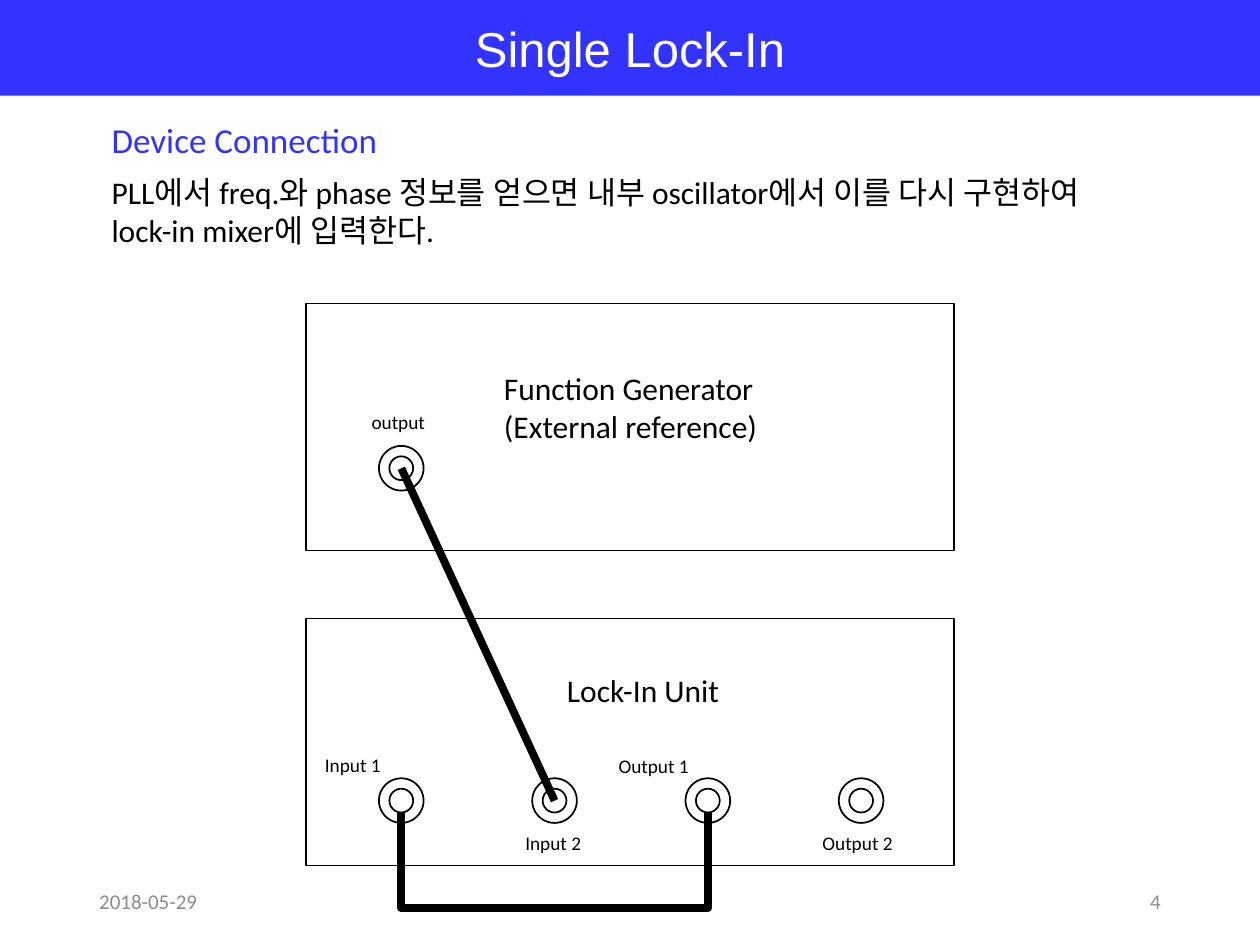
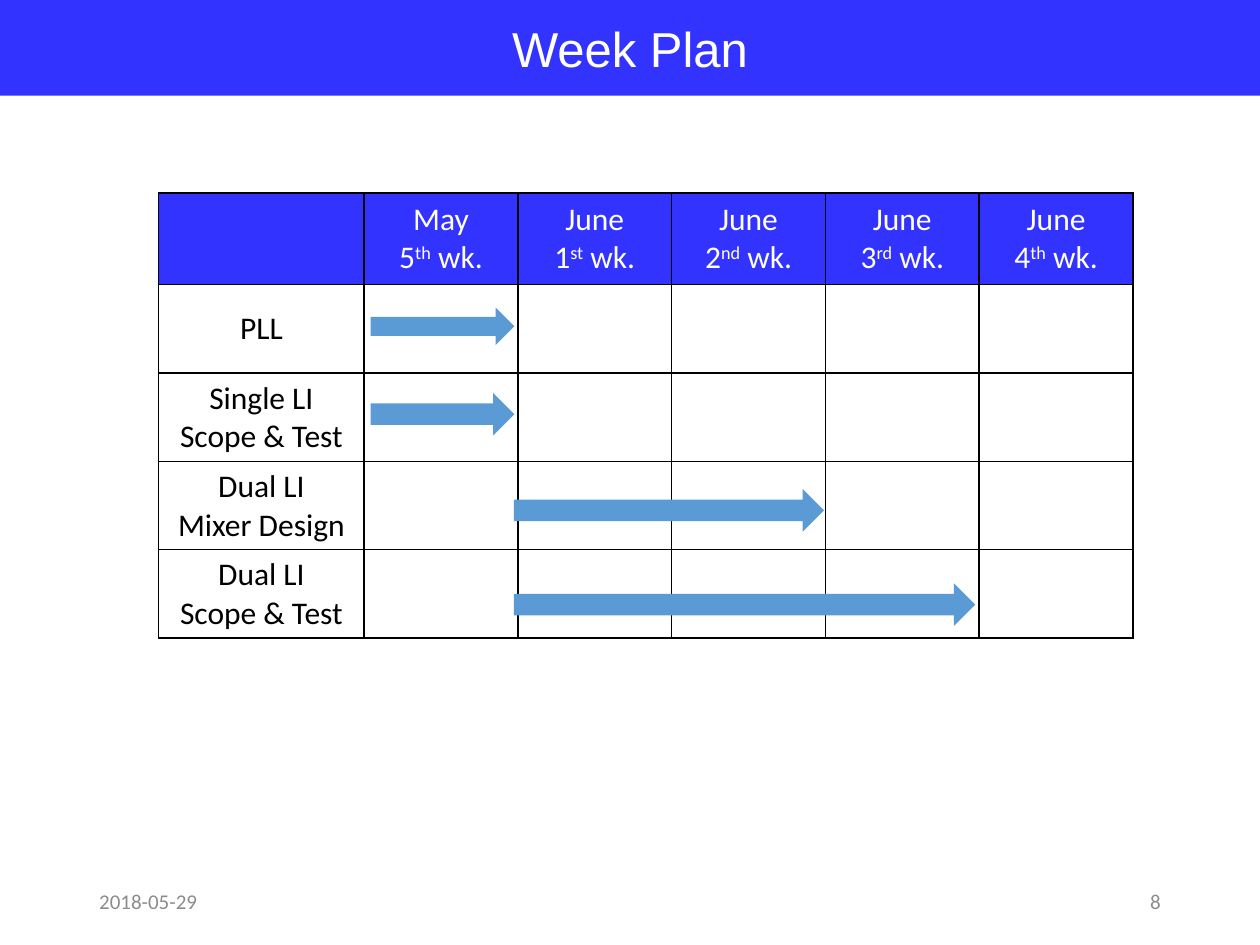
from lxml.etree import SubElement
from pptx import Presentation
from pptx.dml.color import RGBColor
from pptx.enum.shapes import MSO_CONNECTOR as Link, MSO_SHAPE as Preset
from pptx.enum.text import MSO_ANCHOR as Anchor, PP_ALIGN as Align
from pptx.oxml import parse_xml
from pptx.oxml.ns import nsdecls, qn
from pptx.util import Cm, Pt

BLUE = RGBColor(0x33, 0x33, 0xFF)
ARROW_BLUE = RGBColor(0x5B, 0x9B, 0xD5)
GRAY = RGBColor(0x8C, 0x8C, 0x8C)
BLACK = RGBColor(0, 0, 0)
WHITE = RGBColor(255, 255, 255)

PAGE_WIDTH, PAGE_HEIGHT = 25.4, 19.05
BAND_HEIGHT = 1.93
DATE = "2018-05-29"
FOOTER_LEFT, FOOTER_TOP, FOOTER_WIDTH, FOOTER_HEIGHT = 1.75, 17.65, 5.72, 1.02

HEADING = ("Device Connection", 2, 2.26, 7.92, 1.12)
SUMMARY = ("PLL에서 freq.와 phase 정보를 얻으면 내부 oscillator에서 이를 다시 "
           "구현하여 lock-in mixer에 입력한다.", 2, 3.36, 20.82, 1.8)
DEVICES = [
    ("Function Generator\n(External reference)", 9.91, 7.32, 5.61, 1.8),
    ("Lock-In Unit", 11.18, 13.41, 3.94, 1.02),
]
PORT_LABELS = [
    ("output", 7.24, 8.15, 1.68, 0.74),
    ("Input 1", 6.3, 15.06, 1.68, 0.74),
    ("Input 2", 10.34, 16.64, 1.68, 0.74),
    ("Output 1", 12.22, 15.09, 2.08, 0.74),
    ("Output 2", 16.33, 16.64, 2.08, 0.74),
]
PANEL_LEFT, PANEL_TOPS, PANEL_WIDTH, PANEL_HEIGHT = 6.17, (6.12, 12.47), 13.06, 4.98
PORT_LEFT, PORT_STEP, PORT_SIZES = 8.09, 3.09, (0.9, 0.48)
GENERATOR_PORT_Y, LOCKIN_PORT_Y, LOOP_Y = 9.44, 16.14, 18.31

WEEKS = ["", "May\n5^th^ wk.", "June\n1^st^ wk.", "June\n2^nd^ wk.",
         "June\n3^rd^ wk.", "June\n4^th^ wk."]
TASKS = ["PLL", "Single LI\nScope & Test", "Dual LI\nMixer Design", "Dual LI\nScope & Test"]
TASK_ARROWS = [
    (7.47, 6.2, 2.9, 0.76),
    (7.47, 7.92, 2.9, 0.86),
    (10.36, 9.86, 6.25, 0.86),
    (10.36, 11.76, 9.3, 0.86),
]
TABLE_LEFT, TABLE_TOP = 3.2, 3.89
COLUMN_WIDTHS = [4.14] + [3.1] * 5
ROW_HEIGHTS = [1.85] + [1.78] * 4


def write(frame, text, size=18, color=BLACK, font="Calibri", align=Align.LEFT):
    """Fill a text frame; newlines split paragraphs and ^marks^ raise text."""
    style = {"size": Pt(size), "name": font, "bold": False}
    for index, line in enumerate(text.split("\n")):
        para = frame.paragraphs[0] if index == 0 else frame.add_paragraph()
        para.alignment = align
        for part, words in enumerate(line.split("^")):
            span = para.add_run()
            span.text = words
            for key, value in style.items():
                setattr(span.font, key, value)
            span.font.color.rgb = color
            if part % 2:
                span._r.get_or_add_rPr().set("baseline", "30000")


def add_text(page, text, left, top, width, height, anchor=Anchor.TOP, **style):
    """Add a wrapping text box."""
    box = page.shapes.add_textbox(Cm(left), Cm(top), Cm(width), Cm(height))
    box.text_frame.word_wrap = True
    box.text_frame.vertical_anchor = anchor
    write(box.text_frame, text, **style)


def outline(shape, weight):
    """Leave a shape unfilled with a black line."""
    shape.shadow.inherit = False
    shape.fill.background()
    shape.line.color.rgb = BLACK
    shape.line.width = Pt(weight)


def add_outlined(page, preset, left, top, width, height):
    """Add an unfilled preset shape."""
    shape = page.shapes.add_shape(preset, Cm(left), Cm(top), Cm(width), Cm(height))
    outline(shape, 1)


def add_port(page, x, y):
    """Add a socket of concentric circles around a point."""
    for size in PORT_SIZES:
        add_outlined(page, Preset.OVAL, x - size / 2, y - size / 2, size, size)


def add_page(deck, title, number):
    """Add a slide with the title band, date and page number."""
    page = deck.slides.add_slide(deck.slide_layouts[5])
    band = page.shapes.title
    band.left, band.top, band.width, band.height = 0, 0, Cm(PAGE_WIDTH), Cm(BAND_HEIGHT)
    band.fill.solid()
    band.fill.fore_color.rgb = BLUE
    band.text_frame.vertical_anchor = Anchor.MIDDLE
    write(band.text_frame, title, 28, WHITE, "Arial", Align.CENTER)
    right = PAGE_WIDTH - FOOTER_LEFT - FOOTER_WIDTH
    for text, left, align in ((DATE, FOOTER_LEFT, Align.LEFT), (number, right, Align.RIGHT)):
        add_text(page, text, left, FOOTER_TOP, FOOTER_WIDTH, FOOTER_HEIGHT,
                 Anchor.MIDDLE, size=12, color=GRAY, align=align)
    return page


def add_connection_page(deck):
    """Draw the wiring between the two devices."""
    page = add_page(deck, "Single Lock-In", "4")
    add_text(page, *HEADING, size=20, color=BLUE)
    add_text(page, *SUMMARY)
    for top in PANEL_TOPS:
        add_outlined(page, Preset.RECTANGLE, PANEL_LEFT, top, PANEL_WIDTH, PANEL_HEIGHT)
    ports = [PORT_LEFT + PORT_STEP * index for index in range(4)]
    for x in ports:
        add_port(page, x, LOCKIN_PORT_Y)
    add_port(page, ports[0], GENERATOR_PORT_Y)
    for device in DEVICES:
        add_text(page, *device)
    for label in PORT_LABELS:
        add_text(page, *label, size=11)

    cable = page.shapes.add_connector(Link.STRAIGHT, Cm(ports[0]), Cm(GENERATOR_PORT_Y),
                                      Cm(ports[1]), Cm(LOCKIN_PORT_Y))
    cable.line.color.rgb = BLACK
    cable.line.width = Pt(4.5)
    SubElement(cable._element.spPr, qn("a:effectLst"))

    start_y = LOCKIN_PORT_Y + PORT_SIZES[1] / 2
    builder = page.shapes.build_freeform(Cm(ports[0]), Cm(start_y))
    corners = [(ports[0], LOOP_Y), (ports[2], LOOP_Y), (ports[2], start_y)]
    builder.add_line_segments([(Cm(x), Cm(y)) for x, y in corners], close=False)
    outline(builder.convert_to_shape(), 4.5)


def format_cell(cell, text, header):
    """Set the fill, borders and centred text of a table cell."""
    cell.vertical_anchor = Anchor.MIDDLE
    if header:
        cell.fill.solid()
        cell.fill.fore_color.rgb = BLUE
    else:
        cell.fill.background()
    if text:
        write(cell.text_frame, text, color=WHITE if header else BLACK, align=Align.CENTER)
    for index, side in enumerate("LRTB"):
        border = parse_xml(f'<a:ln{side} {nsdecls("a")} w="12700"><a:solidFill>'
                           f'<a:srgbClr val="{BLACK}"/></a:solidFill></a:ln{side}>')
        cell._tc.get_or_add_tcPr().insert(index, border)


def add_plan_page(deck):
    """Draw the weekly schedule with its task arrows."""
    page = add_page(deck, "Week Plan", "8")
    rows = [WEEKS] + [[task] + [""] * (len(WEEKS) - 1) for task in TASKS]
    table = page.shapes.add_table(len(rows), len(WEEKS), Cm(TABLE_LEFT), Cm(TABLE_TOP),
                                  Cm(sum(COLUMN_WIDTHS)), Cm(sum(ROW_HEIGHTS))).table
    table.first_row = table.horz_banding = False
    for column, width in zip(table.columns, COLUMN_WIDTHS):
        column.width = Cm(width)
    for index, (row, height) in enumerate(zip(table.rows, ROW_HEIGHTS)):
        row.height = Cm(height)
        for cell, text in zip(row.cells, rows[index]):
            format_cell(cell, text, index == 0)
    for place in TASK_ARROWS:
        arrow = page.shapes.add_shape(Preset.RIGHT_ARROW, *map(Cm, place))
        arrow.shadow.inherit = False
        arrow.fill.solid()
        arrow.fill.fore_color.rgb = ARROW_BLUE
        arrow.line.fill.background()


def main():
    """Build and save the deck."""
    deck = Presentation()
    deck.slide_width, deck.slide_height = Cm(PAGE_WIDTH), Cm(PAGE_HEIGHT)
    add_connection_page(deck)
    add_plan_page(deck)
    deck.save("out.pptx")


if __name__ == "__main__":
    main()
